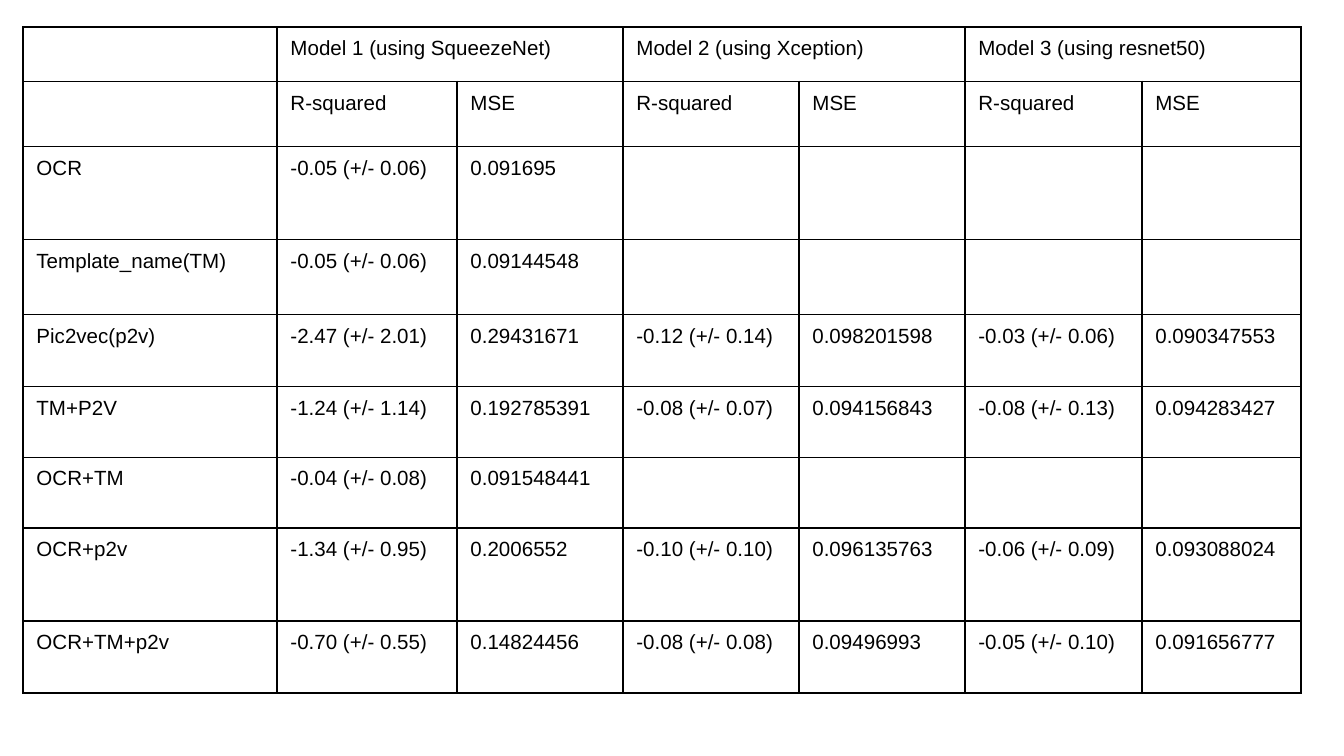
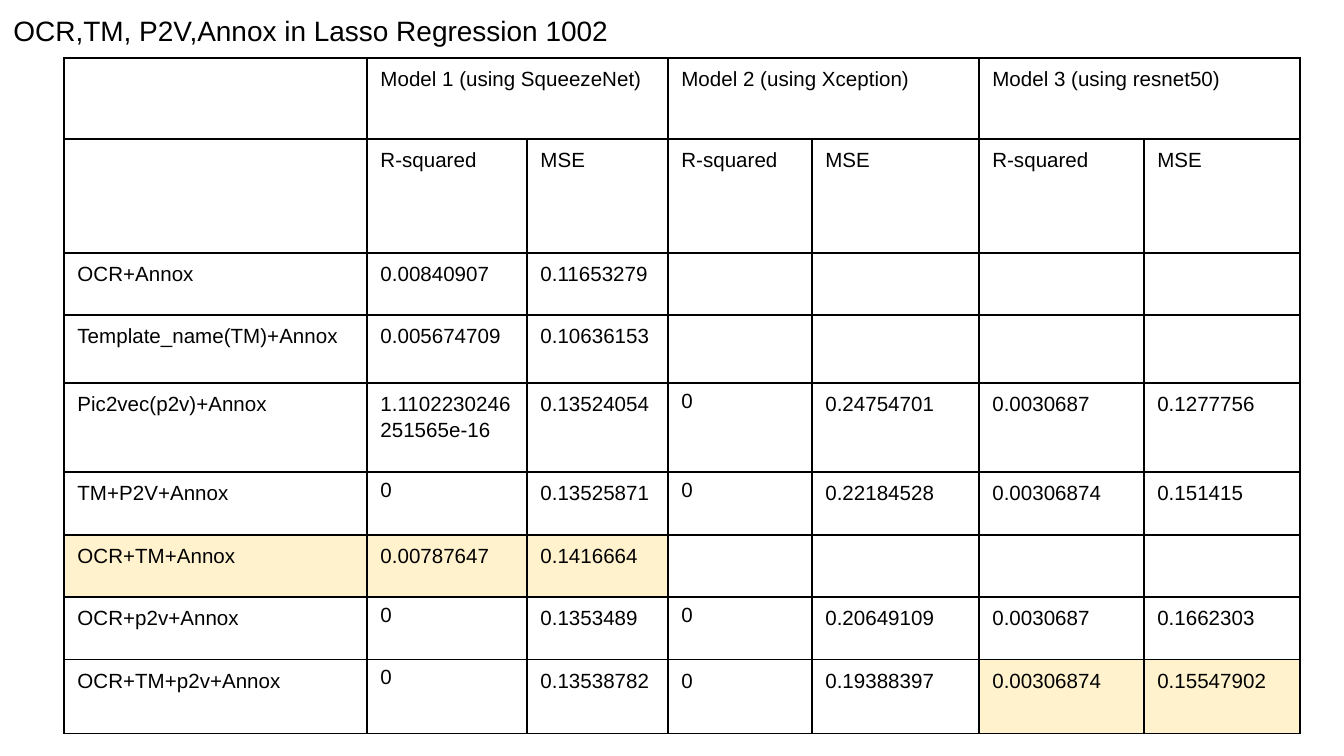
from dataclasses import dataclass

import pptx
import pptx.dml.color
import pptx.enum.text
import pptx.oxml
import pptx.oxml.ns
import pptx.util
from lxml import etree


# Theme shared by both slides
@dataclass(frozen=True)
class Theme:
    font: str = "Arial"
    ink: str = "000000"
    paper: str = "FFFFFF"
    highlight: str = "FFF2CC"
    title_size: int = 15
    cell_size: int = 11
    cell_spacing: float = 1.15
    border_width: int = 1


THEME = Theme()
PX_PER_INCH = 134.4
TITLE_ONLY, BLANK = 5, 6

# Header rows shared by both tables
MODELS = ["Model 1 (using SqueezeNet)", "Model 2 (using Xception)",
          "Model 3 (using resnet50)"]
HEADER = [[""] + [text for model in MODELS for text in (model, "")],
          [""] + ["R-squared", "MSE"] * len(MODELS)]

BASE_SCORES = [
    ["OCR", "-0.05 (+/- 0.06)", "0.091695"],
    ["Template_name(TM)", "-0.05 (+/- 0.06)", "0.09144548"],
    ["Pic2vec(p2v)", "-2.47 (+/- 2.01)", "0.29431671", "-0.12 (+/- 0.14)",
     "0.098201598", "-0.03 (+/- 0.06)", "0.090347553"],
    ["TM+P2V", "-1.24 (+/- 1.14)", "0.192785391", "-0.08 (+/- 0.07)",
     "0.094156843", "-0.08 (+/- 0.13)", "0.094283427"],
    ["OCR+TM", "-0.04 (+/- 0.08)", "0.091548441"],
    ["OCR+p2v", "-1.34 (+/- 0.95)", "0.2006552", "-0.10 (+/- 0.10)",
     "0.096135763", "-0.06 (+/- 0.09)", "0.093088024"],
    ["OCR+TM+p2v", "-0.70 (+/- 0.55)", "0.14824456", "-0.08 (+/- 0.08)",
     "0.09496993", "-0.05 (+/- 0.10)", "0.091656777"],
]

ANNOX_SCORES = [
    ["OCR+Annox", "0.00840907", "0.11653279"],
    ["Template_name(TM)+Annox", "0.005674709", "0.10636153"],
    ["Pic2vec(p2v)+Annox", "1.1102230246251565e-16", "0.13524054", "0",
     "0.24754701", "0.0030687", "0.1277756"],
    ["TM+P2V+Annox", "0", "0.13525871", "0", "0.22184528", "0.00306874",
     "0.151415"],
    ["OCR+TM+Annox", "0.00787647", "0.1416664"],
    ["OCR+p2v+Annox", "0", "0.1353489", "0", "0.20649109", "0.0030687",
     "0.1662303"],
    ["OCR+TM+p2v+Annox", "0", "0.13538782", "0", "0.19388397", "0.00306874",
     "0.15547902"],
]

# Cells as (row, column), header rows included
ANNOX_BEST = {(6, 0), (6, 1), (6, 2), (8, 5), (8, 6)}
ANNOX_SINGLE_SPACED = {(4, 3), (5, 1), (5, 3), (7, 1), (7, 3), (8, 1)}


def px(length):
    return pptx.util.Emu(round(length * 914400 / PX_PER_INCH))


def rgb(value):
    return pptx.dml.color.RGBColor.from_string(value)


def style_runs(paragraph, size):
    for run in paragraph.runs:
        run.font.name = THEME.font
        run.font.size = pptx.util.Pt(size)
        run.font.bold = False
        run.font.color.rgb = rgb(THEME.ink)


def add_borders(cell):
    properties = cell._tc.get_or_add_tcPr()
    qn = pptx.oxml.ns.qn
    for side in ("lnL", "lnR", "lnT", "lnB"):
        line = etree.SubElement(properties, qn(f"a:{side}"),
                                w=str(pptx.util.Pt(THEME.border_width)))
        fill = etree.SubElement(line, qn("a:solidFill"))
        etree.SubElement(fill, qn("a:srgbClr"), val=THEME.ink)


def fill_cell(cell, text, color, spacing):
    cell.margin_left = cell.margin_right = pptx.util.Inches(0.1)
    cell.margin_top = cell.margin_bottom = pptx.util.Inches(0.05)
    add_borders(cell)
    cell.fill.solid()
    cell.fill.fore_color.rgb = rgb(color)
    if text:
        paragraph = cell.text_frame.paragraphs[0]
        paragraph.text = text
        paragraph.line_spacing = spacing
        style_runs(paragraph, THEME.cell_size)


def add_score_table(slide, left, top, widths, heights, scores,
                    best=(), single_spaced=()):
    frame = slide.shapes.add_table(len(heights), len(widths), px(left), px(top),
                                   px(sum(widths)), px(sum(heights)))
    table = frame.table
    table.first_row = table.horz_banding = False
    for column, width in zip(table.columns, widths):
        column.width = px(width)
    for row, height in zip(table.rows, heights):
        row.height = px(height)

    for r, texts in enumerate(HEADER + scores):
        padded = texts + [""] * (len(widths) - len(texts))
        for c, text in enumerate(padded):
            color = THEME.highlight if (r, c) in best else THEME.paper
            spacing = 1.0 if (r, c) in single_spaced else THEME.cell_spacing
            fill_cell(table.cell(r, c), text, color, spacing)

    # Each model spans its two metrics
    for c in range(1, len(widths), 2):
        table.cell(0, c).merge(table.cell(0, c + 1))


def set_title(slide, text, left, top, width, height):
    title = slide.shapes.title
    title.left, title.top = px(left), px(top)
    title.width, title.height = px(width), px(height)
    frame = title.text_frame
    frame.text = text
    frame.word_wrap = True
    frame.auto_size = pptx.enum.text.MSO_AUTO_SIZE.NONE
    frame.vertical_anchor = pptx.enum.text.MSO_ANCHOR.TOP
    frame.margin_left = frame.margin_right = pptx.util.Inches(0.1)
    frame.margin_top = frame.margin_bottom = pptx.util.Inches(0.1)
    paragraph = frame.paragraphs[0]
    paragraph.alignment = pptx.enum.text.PP_ALIGN.LEFT
    style_runs(paragraph, THEME.title_size)


def main():
    deck = pptx.Presentation()
    deck.slide_width, deck.slide_height = px(1344), px(756)

    # Scores without Annox
    base = deck.slides.add_slide(deck.slide_layouts[BLANK])
    add_score_table(base, 23, 27,
                    widths=[254, 180, 166, 176, 166, 177, 159],
                    heights=[53, 65, 93, 75, 72, 71, 71, 93, 72],
                    scores=BASE_SCORES)

    # Scores with Annox
    annox = deck.slides.add_slide(deck.slide_layouts[TITLE_ONLY])
    set_title(annox, "OCR,TM, P2V,Annox in Lasso Regression 1002",
              0, 0, 900, 102)
    add_score_table(annox, 64, 58,
                    widths=[303, 160, 141, 144, 167, 165, 156],
                    heights=[81, 114, 62, 68, 89, 63, 62, 63, 74],
                    scores=ANNOX_SCORES, best=ANNOX_BEST,
                    single_spaced=ANNOX_SINGLE_SPACED)

    deck.save("out.pptx")


if __name__ == "__main__":
    main()
